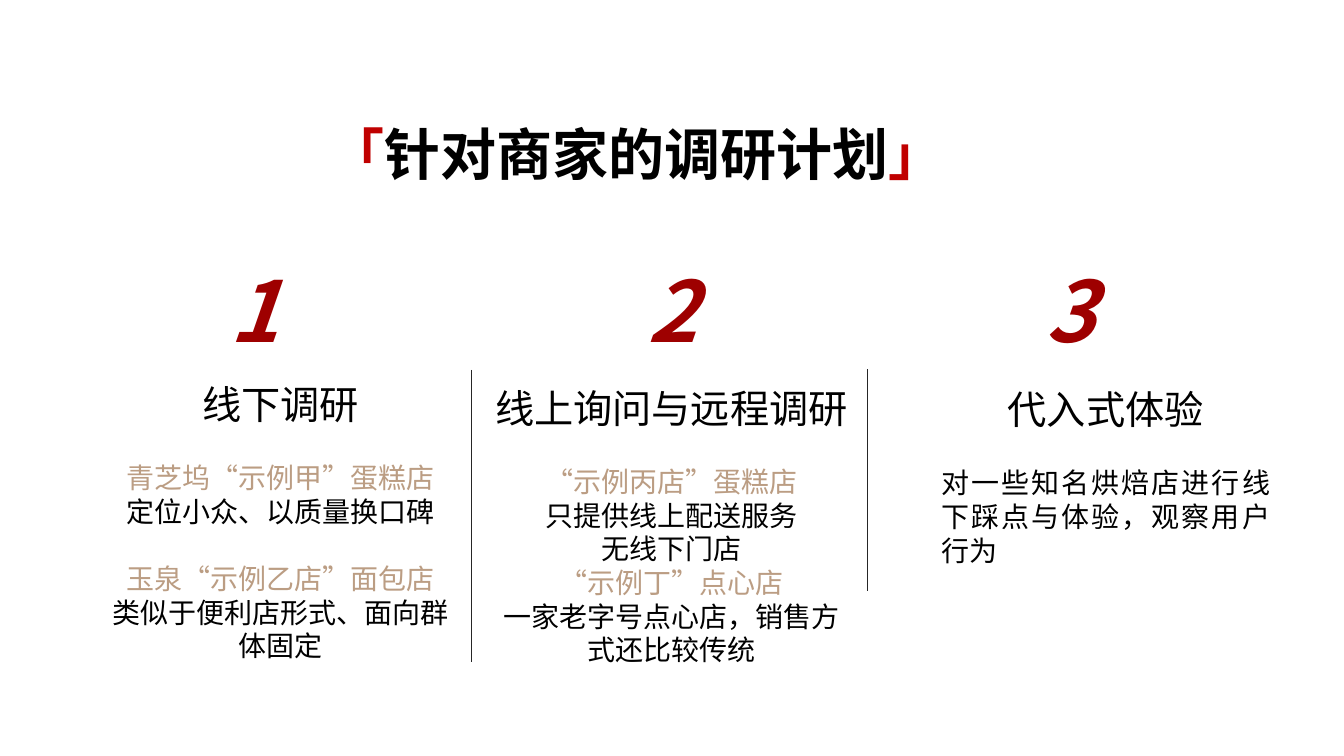
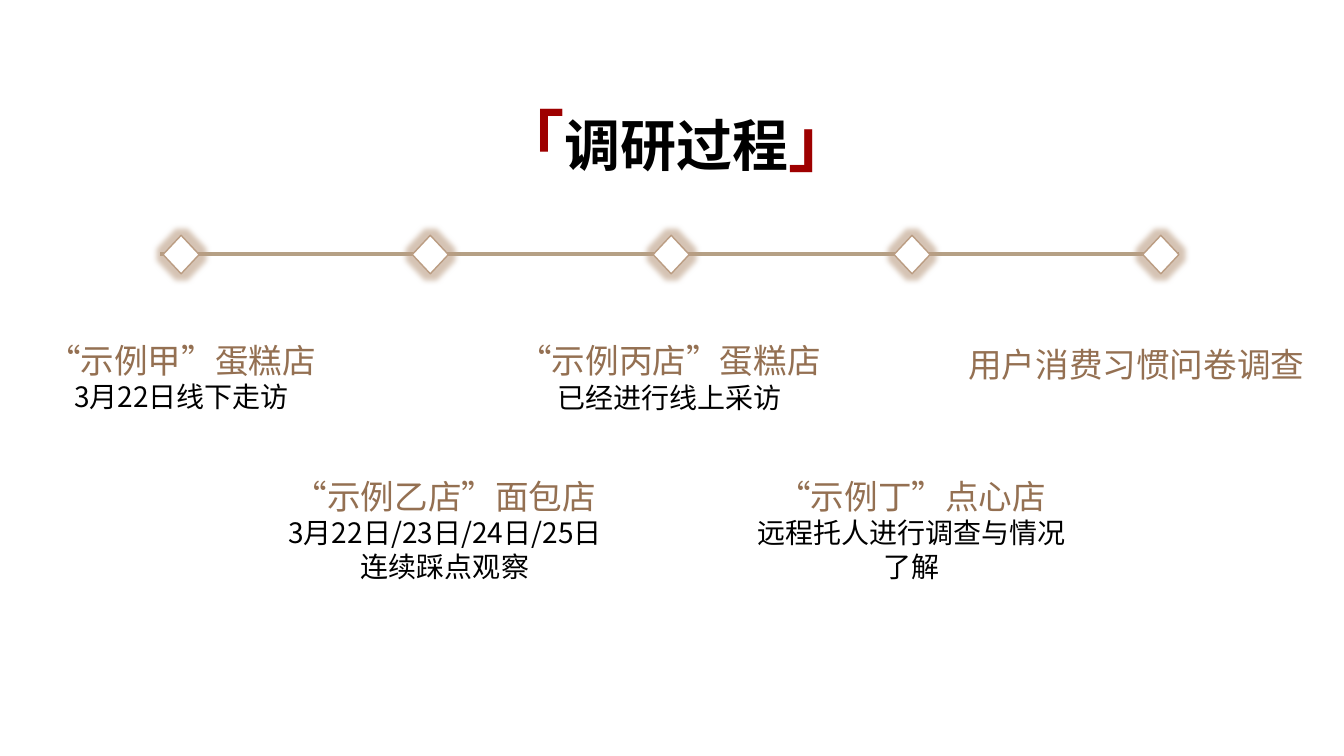
from dataclasses import dataclass

from pptx import Presentation
from pptx.dml.color import RGBColor
from pptx.enum.shapes import MSO_CONNECTOR as Conn, MSO_SHAPE as Shape
from pptx.enum.text import PP_ALIGN as Align
from pptx.oxml.ns import qn
from pptx.slide import Slide
from pptx.util import Cm, Pt
from lxml.etree import SubElement

FONT = "Noto Sans CJK SC"
BLACK, WHITE, RED, BRIGHT_RED = "000000", "FFFFFF", "9E0000", "C00000"
TAN, BROWN, SAND, DARK_GREY = "BB9D83", "947052", "B5A085", "262626"
LINE_HEIGHT = 1.2
GAP = 24


@dataclass
class Box:
    """A place on the slide, in centimetres."""
    left: float
    top: float
    width: float
    height: float

    def lengths(self) -> list[Cm]:
        return [Cm(v) for v in (self.left, self.top, self.width, self.height)]


@dataclass
class Run:
    text: str
    size: float
    color: str = BLACK
    bold: bool = False
    italic: bool = False


@dataclass
class Para:
    runs: list[Run]
    align: Align = Align.CENTER
    before: float = 0


@dataclass
class Column:
    """A numbered research method."""
    number_left: float
    box: Box
    heading: str
    body: list[Para]


@dataclass
class Step:
    """A stop on the timeline."""
    marker_left: float
    box: Box
    heading: str
    detail: str = ""


def rgb(value: str) -> RGBColor:
    return RGBColor.from_string(value)


def line(text: str, size: float = 20, color: str = BLACK, before: float = 0,
         align: Align = Align.CENTER) -> Para:
    """A paragraph of one run."""
    return Para([Run(text, size, color)], align, before)


def add_text(s: Slide, box: Box, paras: list[Para]) -> None:
    tf = s.shapes.add_textbox(*box.lengths()).text_frame
    first_size = max(run.size for run in paras[0].runs)
    frame = {"word_wrap": True, "margin_top": Pt(3.6 + 0.08 * first_size)}
    for name, value in frame.items():
        setattr(tf, name, value)
    for i, para in enumerate(paras):
        p = tf.add_paragraph() if i else tf.paragraphs[0]
        size = max(run.size for run in para.runs)
        layout = {"alignment": para.align, "space_before": Pt(para.before),
                  "line_spacing": Pt(LINE_HEIGHT * size)}
        for name, value in layout.items():
            setattr(p, name, value)
        for run in para.runs:
            r = p.add_run()
            r.text = run.text
            style = {"name": FONT, "size": Pt(run.size), "bold": run.bold,
                     "italic": run.italic}
            for name, value in style.items():
                setattr(r.font, name, value)
            r.font.color.rgb = rgb(run.color)
            SubElement(r.font._element, qn("a:ea")).set("typeface", FONT)


def add_title(s: Slide, box: Box, text: str, bracket_size: float,
              bracket_color: str) -> None:
    """A bold title between coloured corner brackets."""
    left, right = (Run(mark, bracket_size, bracket_color, True) for mark in "「」")
    add_text(s, box, [Para([left, Run(text, 40, BLACK, True), right])])


def add_line(s: Slide, start: tuple[float, float], end: tuple[float, float],
             color: str, width: float) -> None:
    c = s.shapes.add_connector(Conn.STRAIGHT, *(Cm(v) for v in start + end))
    c.line.color.rgb = rgb(color)
    c.line.width = Pt(width)
    SubElement(c._element.spPr, qn("a:effectLst"))


def add_marker(s: Slide, left: float) -> None:
    """A white diamond with a soft tan glow."""
    sp = s.shapes.add_shape(Shape.DIAMOND, *Box(left, 5.93, 0.91, 0.97).lengths())
    sp.shadow.inherit = False
    sp.fill.solid()
    sp.fill.fore_color.rgb = rgb(WHITE)
    sp.line.color.rgb = rgb(TAN)
    sp.line.width = Pt(1)
    effects = sp._element.spPr.find(qn("a:effectLst"))
    glow = SubElement(effects, qn("a:glow"), rad=str(Pt(8)))
    color = SubElement(glow, qn("a:srgbClr"), val=TAN)
    SubElement(color, qn("a:alpha"), val="60000")


COLUMNS = [
    Column(5.54, Box(2.44, 9.37, 9.25, 8.64), "线下调研", [
        line("青芝坞“示例甲”蛋糕店", color=TAN, before=GAP),
        line("定位小众、以质量换口碑"),
        line("玉泉“示例乙店”面包店", color=TAN, before=GAP),
        line("类似于便利店形式、面向群体固定"),
    ]),
    Column(16.08, Box(12.12, 9.47, 9.6, 8.64), "线上询问与远程调研", [
        line("“示例丙店”蛋糕店", color=TAN, before=GAP),
        line("只提供线上配送服务"),
        line("无线下门店"),
        line("“示例丁”点心店", color=TAN),
        line("一家老字号点心店，销售方式还比较传统"),
    ]),
    Column(26.09, Box(23.47, 9.5, 8.79, 4.88), "代入式体验", [
        line("对一些知名烘焙店进行线下踩点与体验，观察用户行为",
             before=GAP, align=Align.JUSTIFY),
    ]),
]

STEPS = [
    Step(4.11, Box(0.56, 8.36, 8.03, 2.13), "“示例甲”蛋糕店", "3月22日线下走访"),
    Step(10.39, Box(6.86, 11.79, 8.71, 3), "“示例乙店”面包店",
         "3月22日/23日/24日/25日连续踩点观察"),
    Step(16.46, Box(12.52, 8.38, 8.71, 2.13), "“示例丙店”蛋糕店", "已经进行线上采访"),
    Step(22.53, Box(18.62, 11.79, 8.71, 3), "“示例丁”点心店",
         "远程托人进行调查与情况了解"),
    Step(28.8, Box(24.1, 8.46, 9.07, 1.27), "用户消费习惯问卷调查"),
]


def build_plan(s: Slide) -> None:
    add_title(s, Box(7.19, 2.77, 17.7, 1.96), "针对商家的调研计划", 40, BRIGHT_RED)
    for number, col in enumerate(COLUMNS, 1):
        digit = Run(str(number), 60, RED, True, True)
        add_text(s, Box(col.number_left, 6.22, 2.54, 2.82), [Para([digit], Align.LEFT)])
        add_text(s, col.box, [line(col.heading, 28)] + col.body)
    for x, top, bottom in ((11.89, 9.32, 16.69), (21.87, 9.3, 14.88)):
        add_line(s, (x, top), (x, bottom), DARK_GREY, 0.5)


def build_process(s: Slide) -> None:
    add_title(s, Box(2.64, 2.24, 28.83, 2.4), "调研过程", 48, RED)
    add_line(s, (4.04, 6.4), (29.72, 6.4), SAND, 2.25)
    for step in STEPS:
        add_marker(s, step.marker_left)
        paras = [line(step.heading, 24, BROWN)]
        if step.detail:
            paras.append(line(step.detail))
        add_text(s, step.box, paras)


def main() -> None:
    prs = Presentation()
    prs.slide_width, prs.slide_height = Cm(33.87), Cm(19.05)
    for build in (build_plan, build_process):
        build(prs.slides.add_slide(prs.slide_layouts[6]))
    prs.save("out.pptx")


if __name__ == "__main__":
    main()
